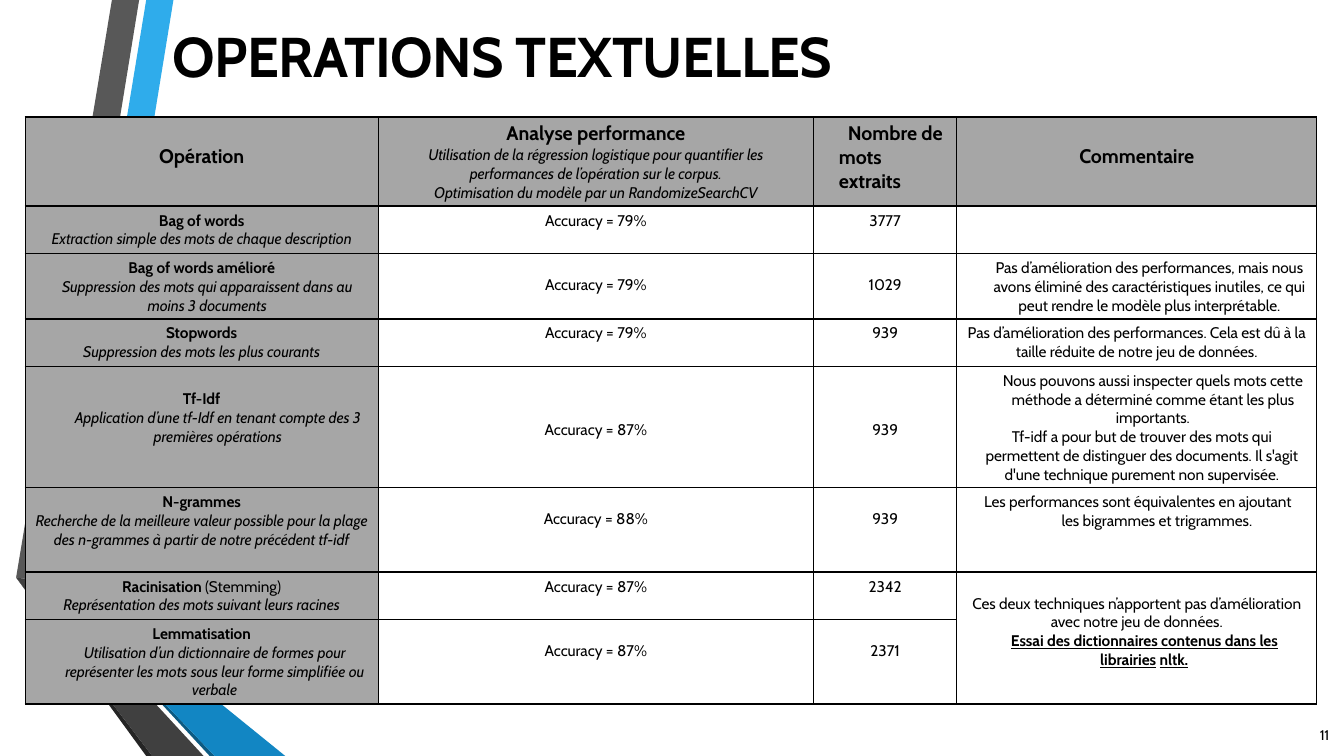
from collections import namedtuple

from lxml import etree
from pptx import Presentation
from pptx import util as u
from pptx.dml.color import RGBColor
from pptx.enum import text
from pptx.oxml import ns

FONT = "Cabin"
COLORS = {
    "ink": "000000", "label": "A6A6A6", "sky": "2FACEB", "slate": "585858",
    "coal": "252525", "navy": "0C5A82", "blue": "1286C3", "graphite": "404040",
}
BANDS = [
    ("sky", [(1.72, 0), (1.45, 0), (0.5, 5.78), (0.77, 5.83)]),
    ("slate", [(1.38, 0), (1.11, 0), (0.16, 5.73), (0.44, 5.77)]),
    ("coal", [(0.16, 5.73), (1.45, 7.5), (1.51, 7.5)]),
    ("navy", [(0.5, 5.79), (2.08, 7.5), (2.13, 7.5)]),
    ("blue", [(0.5, 5.78), (0.5, 5.79), (2.13, 7.5), (2.83, 7.5), (0.77, 5.83)]),
    ("graphite", [(0.16, 5.73), (1.51, 7.5), (2.02, 7.5), (0.48, 5.83), (0.44, 5.77)]),
]
COLUMNS = [3.5, 4.32, 1.42, 3.57]
ROWS = [0.88, 0.47, 0.65, 0.47, 1.2, 0.84, 0.47, 0.84]
LEFT, CENTER = text.PP_ALIGN.LEFT, text.PP_ALIGN.CENTER

Line = namedtuple("Line", "spans size left first align", defaults=(11, 0, 0, CENTER))
Entry = namedtuple("Entry", "lines drop", defaults=(0,))
Operation = namedtuple("Operation", "label accuracy words drop comment")


def plain(words, left=0):
    """Return a centred line of regular text."""
    return Line([("", words)], left=left)


def heading(words, **layout):
    """Return a bold column heading."""
    return Line([("b", words)], size=14, **layout)


def label(name, *details, left=0, suffix="", drop=0):
    """Return the entry with an operation's bold name and italic details."""
    name_spans = [("b", name)] + ([("", suffix)] if suffix else [])
    return Entry([Line(name_spans)] + [Line([("i", detail)], left=left) for detail in details], drop)


HEADER = [
    Entry([heading("Opération")], 0.22),
    Entry([heading("Analyse performance")] + [Line([("i", words)]) for words in (
        "Utilisation de la régression logistique pour quantifier les",
        "performances de l’opération sur le corpus.",
        "Optimisation du modèle par un RandomizeSearchCV")]),
    Entry([heading("Nombre de mots extraits", left=0.15, first=0.09, align=LEFT)]),
    Entry([heading("Commentaire")], 0.22),
]
OPERATIONS = [
    Operation(label("Bag of words", "Extraction simple des mots de chaque description"),
              "79%", "3777", 0, Entry([])),
    Operation(label("Bag of words amélioré", "Suppression des mots qui apparaissent dans au "
                    "moins 3 documents", left=0.11),
              "79%", "1029", 0.17,
              Entry([plain("Pas d’amélioration des performances, mais nous avons éliminé des "
                           "caractéristiques inutiles, ce qui peut rendre le modèle plus "
                           "interprétable.", 0.25)])),
    Operation(label("Stopwords", "Suppression des mots les plus courants"),
              "79%", "939", 0,
              Entry([plain("Pas d’amélioration des performances. Cela est dû à la"),
                     plain("taille réduite de notre jeu de données.")])),
    Operation(label("Tf-Idf", "Application d’une tf-Idf en tenant compte des 3 premières "
                    "opérations", left=0.32, drop=0.18),
              "87%", "939", 0.49,
              Entry([plain("Nous pouvons aussi inspecter quels mots cette méthode a déterminé "
                           "comme étant les plus importants.", 0.32),
                     plain("Tf-idf a pour but de trouver des mots qui permettent de distinguer "
                           "des documents. Il s'agit d'une technique purement non supervisée.",
                           0.1)])),
    Operation(label("N-grammes", "Recherche de la meilleure valeur possible pour la plage",
                    "des n-grammes à partir de notre précédent tf-idf"),
              "88%", "939", 0.17,
              Entry([Line([("", "Les performances sont équivalentes en ajoutant les bigrammes "
                            "et trigrammes.")], left=0.94, first=-0.77, align=LEFT)])),
    Operation(label("Racinisation", "Représentation des mots suivant leurs racines",
                    suffix=" (Stemming)"),
              "87%", "2342", 0,
              Entry([plain("Ces deux techniques n’apportent pas d’amélioration"),
                     plain("avec notre jeu de données."),
                     Line([("bu", "Essai des dictionnaires contenus dans les librairies"),
                           ("b", " "), ("bu", "nltk.")], left=0.15)], 0.17)),
    Operation(label("Lemmatisation", "Utilisation d’un dictionnaire de formes pour représenter "
                    "les mots sous leur forme simplifiée ou verbale", left=0.26),
              "87%", "2371", 0.17, Entry([])),
]


def color(name):
    """Look up a named colour."""
    return RGBColor.from_string(COLORS[name])


def add_span(para, words, size, style="", spacing=-5):
    """Append one formatted run to a paragraph."""
    span = para.add_run()
    span.text = words
    font = span.font
    font.name, font.size = FONT, u.Pt(size)
    font.color.rgb = color("ink")
    font.bold, font.italic, font.underline = (mark in style for mark in "biu")
    font._element.set("spc", str(spacing))


def add_bands(page, left, top):
    """Draw the folded ribbons from the given corner."""
    for name, points in BANDS:
        corners = [(u.Inches(left + x), u.Inches(top + y)) for x, y in points]
        builder = page.shapes.build_freeform(*corners[0])
        builder.add_line_segments(corners[1:], close=True)
        band = builder.convert_to_shape()
        band.shadow.inherit = False
        band.fill.solid()
        band.fill.fore_color.rgb = color(name)
        band.line.fill.background()


def add_text(page, box, words, size, style="", spacing=0, wrap=True):
    """Place a single line of text in the box."""
    frame = page.shapes.add_textbox(*map(u.Inches, box)).text_frame
    frame.word_wrap = wrap
    frame.margin_left = frame.margin_right = frame.margin_bottom = 0
    frame.margin_top = u.Inches(0.01)
    add_span(frame.paragraphs[0], words, size, style, spacing)


def draw_borders(cell):
    """Give all four sides of a cell a thin line."""
    properties = cell._tc.get_or_add_tcPr()
    for index, side in enumerate("LRTB"):
        line = etree.Element(ns.qn(f"a:ln{side}"), w=str(u.Pt(0.96)))
        fill = etree.SubElement(line, ns.qn("a:solidFill"))
        etree.SubElement(fill, ns.qn("a:srgbClr"), val=COLORS["ink"])
        properties.insert(index, line)


def fill_cell(cell, entry, shaded):
    """Write an entry into a cell and colour it."""
    if shaded:
        cell.fill.solid()
        cell.fill.fore_color.rgb = color("label")
    else:
        cell.fill.background()
    draw_borders(cell)
    cell.margin_top = u.Inches(0.05 + entry.drop)
    frame = cell.text_frame
    for index, line in enumerate(entry.lines):
        para = frame.add_paragraph() if index else frame.paragraphs[0]
        para.alignment = line.align
        layout = para._p.get_or_add_pPr()
        layout.set("marL", str(u.Inches(line.left)))
        layout.set("indent", str(u.Inches(line.first)))
        for style, words in line.spans:
            add_span(para, words, line.size, style)


def add_operations(page, left, top):
    """Build the table of text operations at the given corner."""
    box = map(u.Inches, (left, top, sum(COLUMNS), sum(ROWS)))
    table = page.shapes.add_table(len(ROWS), len(COLUMNS), *box).table
    table.first_row = table.horz_banding = False
    for column, width in zip(table.columns, COLUMNS):
        column.width = u.Inches(width)
    for row, height in zip(table.rows, ROWS):
        row.height = u.Inches(height)
    table.cell(6, 3).merge(table.cell(7, 3))
    rows = [HEADER] + [
        [item.label, Entry([plain(f"Accuracy = {item.accuracy}")], item.drop),
         Entry([plain(item.words)], item.drop), item.comment] for item in OPERATIONS]
    for row, entries in enumerate(rows):
        for column, entry in enumerate(entries):
            fill_cell(table.cell(row, column), entry, row == 0 or column == 0)


def main():
    """Build and save the deck."""
    deck = Presentation()
    deck.slide_width, deck.slide_height = u.Inches(13.33), u.Inches(7.5)
    page = deck.slides.add_slide(deck.slide_layouts[6])
    add_bands(page, 0, 0)
    add_text(page, (1.71, 0.2, 10.45, 1.26), "OPERATIONS TEXTUELLES", 40, "b", -35)
    add_text(page, (13.09, 7.2, 0.16, 0.18), "11", 10, spacing=-30, wrap=False)
    add_operations(page, 0.25, 1.16)
    deck.save("out.pptx")


if __name__ == "__main__":
    main()
